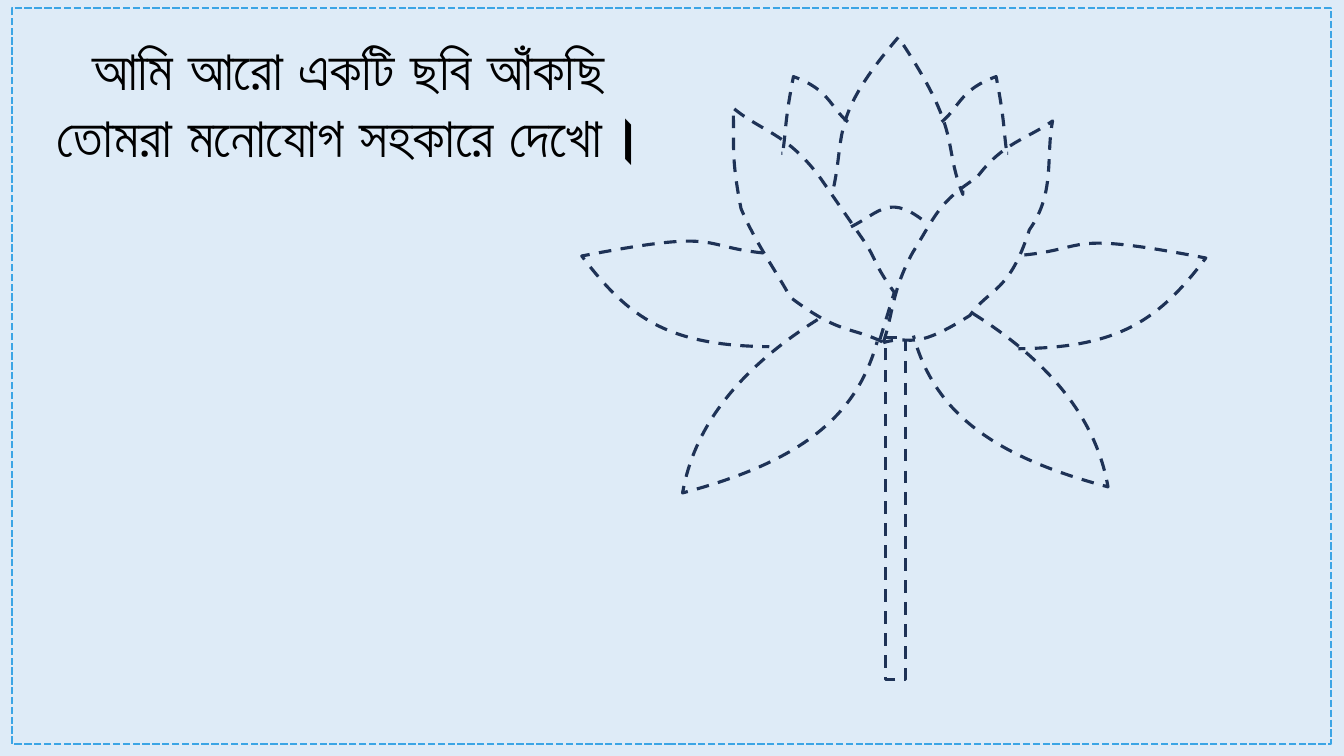
import pptx
import pptx.util
import pptx.dml.color
import pptx.enum.dml
import pptx.enum.shapes
import pptx.enum.text
import pptx.oxml.ns
import lxml.etree

EMU_PER_PX = 9144
BOUND_STEPS = 40

PALE_BLUE = pptx.dml.color.RGBColor(0xDE, 0xEB, 0xF7)
SKY_BLUE = pptx.dml.color.RGBColor(0x3C, 0xA5, 0xE5)
NAVY = pptx.dml.color.RGBColor(0x1E, 0x32, 0x56)
BLACK = pptx.dml.color.RGBColor(0, 0, 0)

DASH = pptx.enum.dml.MSO_LINE.DASH
SQUARE_DOT = pptx.enum.dml.MSO_LINE.SQUARE_DOT

LEFT_PETAL = [
    [(875, 339)],
    [(844, 324), (833, 332), (784, 295)],
    [(768, 266), (750, 242), (735, 207)],
    [(724, 151), (729, 141), (727, 107)],
    [(756, 131), (781, 132), (814, 177)],
    [(859, 242)],
    [(869, 258), (868, 264), (887, 290)],
    [(873, 336)],
]
RIGHT_PETAL = [
    [(876, 340)],
    [(886, 311), (884, 290), (905, 251)],
    [(929, 212), (931, 201), (969, 176)],
    [(995, 141), (1019, 138), (1044, 120)],
    [(1037, 156), (1047, 191), (1021, 228)],
    [(1001, 291), (982, 285), (962, 313)],
    [(902, 351), (905, 331), (876, 340)],
]
TOP_PETAL = [
    [(827, 185)],
    [(838, 133), (824, 115), (891, 37)],
    [(956, 134), (934, 141), (955, 193)],
    [(955, 187)],
]
SMALL_PETAL = [
    [(934, 121)],
    [(952, 106), (952, 89), (988, 76)],
    [(997, 122), (995, 128), (999, 154)],
    [(999, 152)],
    [(1000, 152)],
]
OUTER_LEAF = [
    [(1016, 253)],
    [(1083, 246), (1055, 229), (1196, 256)],
    [(1149, 318), (1110, 345), (1010, 346)],
    [(1010, 346)],
]
LOWER_LEAF = [
    [(965, 311)],
    [(1059, 370), (1090, 432), (1099, 483)],
    [(978, 451), (926, 405), (906, 333)],
]
CENTRE_ARC = [
    [(844, 225)],
    [(873, 211), (882, 190), (921, 223)],
    [(921, 223)],
]


def px(length):
    return pptx.util.Emu(round(length * EMU_PER_PX))


def mirrored(outline, axis_sum, drop=0):
    return [[(axis_sum - x, y + drop) for x, y in segment] for segment in outline]


def curve_values(a, b, c, d):
    for step in range(BOUND_STEPS + 1):
        t = step / BOUND_STEPS
        u = 1 - t
        yield a * u ** 3 + 3 * b * t * u * u + 3 * c * t * t * u + d * t ** 3


def extent(outline, axis):
    values = [outline[0][0][axis]]
    for before, segment in zip(outline, outline[1:]):
        if len(segment) == 3:
            values.extend(curve_values(*(point[axis] for point in (before[-1], *segment))))
        else:
            values.append(segment[0][axis])
    return min(values), max(values)


def style_outline(shape, color, width, dash):
    shape.shadow.inherit = False
    shape.fill.background()
    shape.line.color.rgb = color
    shape.line.width = pptx.util.Pt(width)
    shape.line.dash_style = dash


def add_petal(slide, outline, close=False):
    start, *anchors = [(px(x), px(y)) for x, y in (segment[-1] for segment in outline)]
    builder = slide.shapes.build_freeform(*start, scale=1.0)
    builder.add_line_segments(anchors, close=close)
    petal = builder.convert_to_shape()
    (left, right), (top, bottom) = extent(outline, 0), extent(outline, 1)
    petal.left, petal.top = px(left), px(top)
    petal.width, petal.height = px(right - left), px(bottom - top)

    qn = pptx.oxml.ns.qn
    trace = petal._element.xpath(".//a:path")[0]
    trace.set("w", str(petal.width))
    trace.set("h", str(petal.height))
    for command, segment in zip(list(trace), outline):
        if len(segment) == 3:
            curve = lxml.etree.Element(qn("a:cubicBezTo"))
            trace.replace(command, curve)
            command = curve
        for old_point in list(command):
            command.remove(old_point)
        for x, y in segment:
            point = lxml.etree.SubElement(command, qn("a:pt"))
            point.set("x", str(px(x - left)))
            point.set("y", str(px(y - top)))
    style_outline(petal, NAVY, 2.25, DASH)


def add_dashed_box(slide, left, top, width, height, color, weight, dash):
    box = slide.shapes.add_shape(
        pptx.enum.shapes.MSO_SHAPE.RECTANGLE, px(left), px(top), px(width), px(height)
    )
    style_outline(box, color, weight, dash)


def add_heading(slide, left, top, width, height, lines):
    heading = slide.shapes.add_textbox(px(left), px(top), px(width), px(height))
    frame = heading.text_frame
    frame.word_wrap = False
    frame.auto_size = pptx.enum.text.MSO_AUTO_SIZE.SHAPE_TO_FIT_TEXT
    frame.text = "\n".join(lines)
    for paragraph in frame.paragraphs:
        paragraph.alignment = pptx.enum.text.PP_ALIGN.CENTER
        for run in paragraph.runs:
            run.font.name = "Calibri"
            run.font.size = pptx.util.Pt(40)
            run.font.bold = True
            run.font.color.rgb = BLACK


def main():
    deck = pptx.Presentation()
    deck.slide_width = px(1333)
    deck.slide_height = px(750)
    slide = deck.slides.add_slide(deck.slide_layouts[6])
    slide.background.fill.solid()
    slide.background.fill.fore_color.rgb = PALE_BLUE

    add_dashed_box(slide, 12, 8, 1308, 730, SKY_BLUE, 1.75, SQUARE_DOT)
    add_petal(slide, LEFT_PETAL)
    add_petal(slide, RIGHT_PETAL, close=True)
    add_petal(slide, TOP_PETAL)
    for outline, axis_sum, drop in (
        (SMALL_PETAL, 1775, 0),
        (OUTER_LEAF, 1773, -2),
        (LOWER_LEAF, 1776, 6),
    ):
        add_petal(slide, outline)
        add_petal(slide, mirrored(outline, axis_sum, drop))
    add_dashed_box(slide, 878, 335, 20, 339, NAVY, 2.25, DASH)
    add_petal(slide, CENTRE_ARC)
    add_heading(
        slide, 44, 29, 603, 145,
        ["আমি আরো একটি ছবি আঁকছি", "তোমরা মনোযোগ সহকারে দেখো।"],
    )
    deck.save("out.pptx")


if __name__ == "__main__":
    main()
